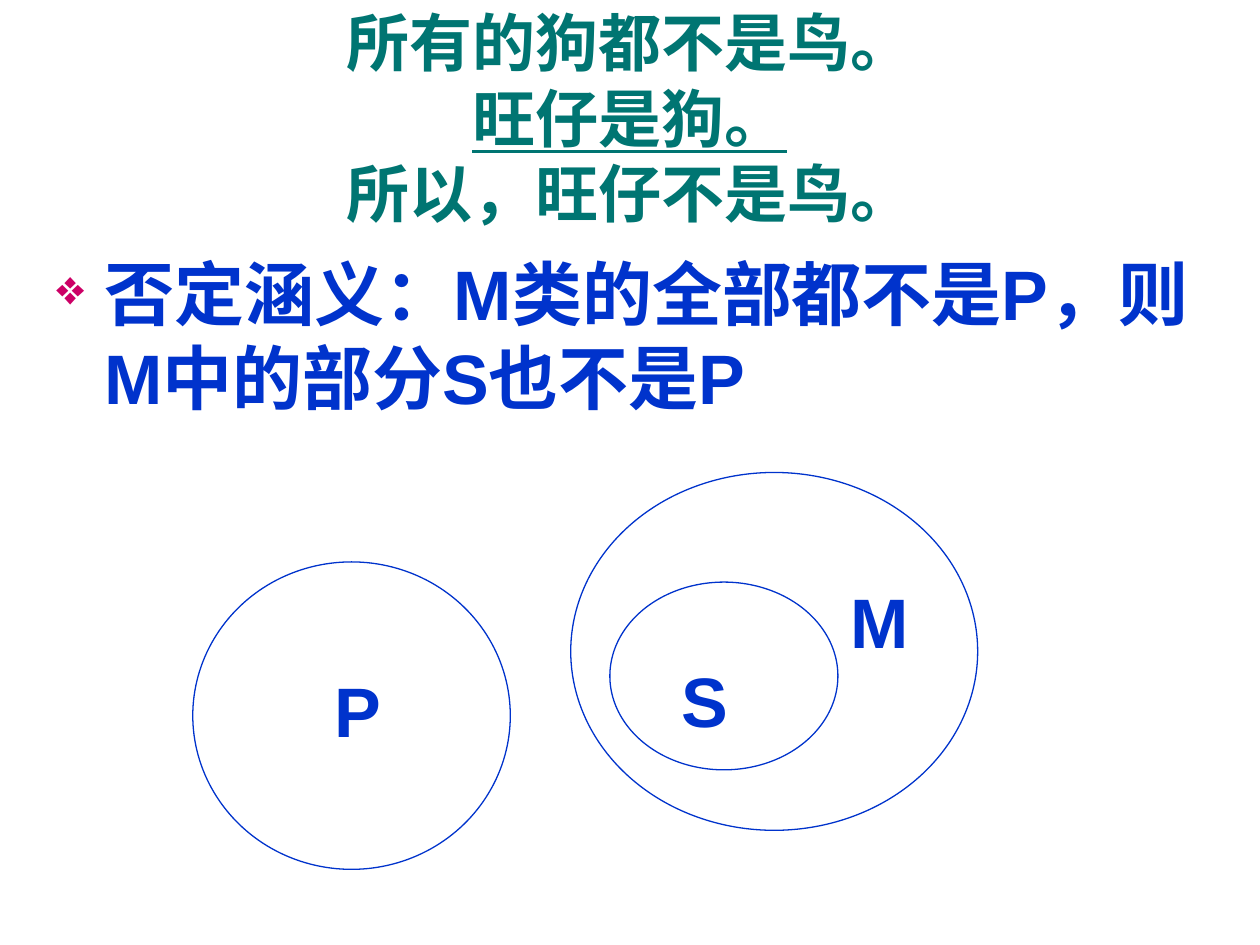
from lxml import etree
from pptx import Presentation
from pptx.dml.color import RGBColor
from pptx.enum.shapes import MSO_SHAPE
from pptx.enum.text import MSO_ANCHOR, PP_ALIGN
from pptx.oxml.ns import qn
from pptx.util import Inches, Pt

TEAL = RGBColor(0x00, 0x75, 0x72)
BLUE = RGBColor(0x00, 0x33, 0xCC)
MAGENTA = RGBColor(0xCC, 0x00, 0x66)


class SyllogismSlide:
    font_name = "Arial"

    def __init__(self, slide):
        self.slide = slide

    def _paragraph(self, left, top, width, height, size, color, anchor=MSO_ANCHOR.TOP):
        box = self.slide.shapes.add_textbox(
            Inches(left), Inches(top), Inches(width), Inches(height))
        frame = box.text_frame
        frame.word_wrap = True
        frame.vertical_anchor = anchor
        paragraph = frame.paragraphs[0]
        font = paragraph.font
        font.name, font.size, font.bold = self.font_name, Pt(size), True
        font.color.rgb = color
        return paragraph

    def argument(self, premises, conclusion, *place):
        paragraph = self._paragraph(*place, 36, TEAL, MSO_ANCHOR.MIDDLE)
        paragraph.alignment = PP_ALIGN.CENTER
        for premise in premises:
            run = paragraph.add_run()
            run.text = premise
            paragraph.add_line_break()
        # The rule under the last premise separates it from the conclusion
        run.font.underline = True
        paragraph.add_run().text = conclusion

    def bullet(self, text, *place):
        paragraph = self._paragraph(*place, 40, BLUE)
        paragraph.add_run().text = text
        properties = paragraph._p.get_or_add_pPr()
        properties.set("marL", str(Inches(0.38)))
        properties.set("indent", str(Inches(-0.38)))
        marks = [etree.Element(qn(tag)) for tag in ("a:buClr", "a:buSzPct", "a:buChar")]
        etree.SubElement(marks[0], qn("a:srgbClr")).set("val", str(MAGENTA))
        marks[1].set("val", "70000")
        marks[2].set("char", "❖")
        for position, mark in enumerate(marks):
            properties.insert(position, mark)

    def circle(self, left, top, width, height):
        oval = self.slide.shapes.add_shape(
            MSO_SHAPE.OVAL, Inches(left), Inches(top), Inches(width), Inches(height))
        oval.shadow.inherit = False
        oval.fill.background()
        oval.line.color.rgb = BLUE
        oval.line.width = Pt(0.75)

    def label(self, text, left, top, width):
        self._paragraph(left, top, width, 0.77, 40, BLUE).add_run().text = text


def main():
    deck = Presentation()
    deck.slide_width, deck.slide_height = Inches(10), Inches(7.5)
    page = SyllogismSlide(deck.slides.add_slide(deck.slide_layouts[6]))

    # Syllogism and its meaning
    page.argument(["所有的狗都不是鸟。", "旺仔是狗。"], "所以，旺仔不是鸟。",
                  0.33, 0, 9.34, 1.86)
    page.bullet("否定涵义：M类的全部都不是P，则M中的部分S也不是P",
                0.35, 1.94, 9.34, 5.56)

    # Euler diagram: S inside M, P apart
    page.circle(4.53, 3.75, 3.23, 2.84)
    page.circle(4.84, 4.62, 1.81, 1.49)
    page.circle(1.53, 4.46, 2.52, 2.44)
    page.label("M", 6.65, 4.54, 0.71)
    page.label("S", 5.31, 5.17, 0.63)
    page.label("P", 2.56, 5.25, 0.55)

    deck.save("out.pptx")


if __name__ == "__main__":
    main()
